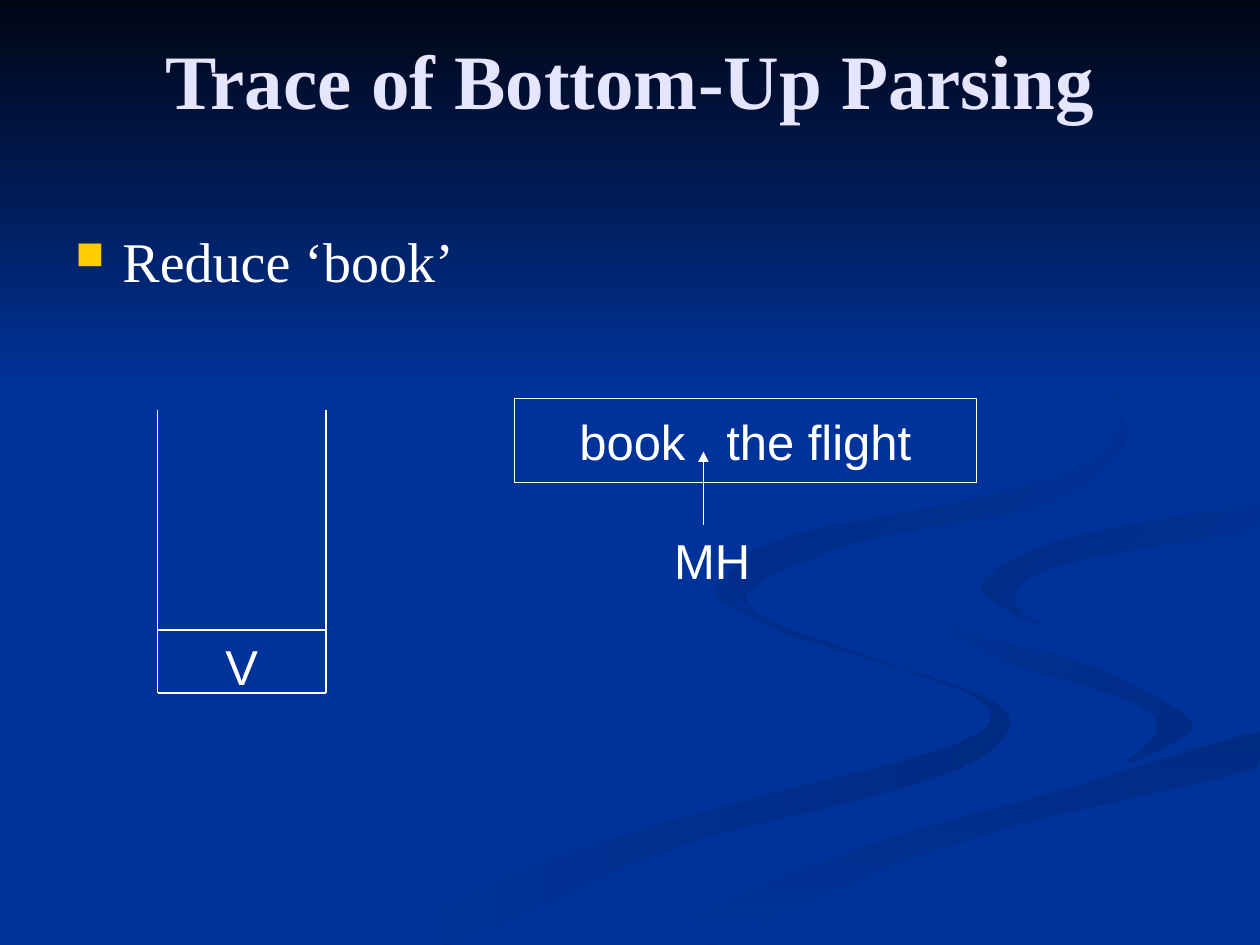
import dataclasses
import typing

import lxml.etree
import pptx
import pptx.dml.color
import pptx.enum.shapes
import pptx.enum.text
import pptx.oxml.ns
import pptx.util

Cm = pptx.util.Cm
Pt = pptx.util.Pt
Align = pptx.enum.text.PP_ALIGN
Kind = pptx.enum.shapes.MSO_SHAPE


@dataclasses.dataclass(frozen=True)
class Theme:
    """Hold the colours, fonts and sizes of the slide."""
    back: str = "003399"
    dusk: str = "002B83"
    night: str = "000514"
    ink: str = "FFFFFF"
    head: str = "E5E5FF"
    mark: str = "FFCC00"
    serif: str = "Times New Roman"
    sans: str = "Arial"
    large: int = 44
    body: int = 32
    small: int = 28
    line: float = 0.75


class Box(typing.NamedTuple):
    """Give a region in centimetres."""
    x: float
    y: float
    w: float
    h: float


THEME = Theme()
FULL = Box(0, 0, 25.4, 19.05)

RIBBONS = [
    (THEME.dusk, THEME.back, 180, [
        (781, 553), (682, 519), (594, 485), (575, 459), (572, 476), (631, 505),
        (741, 539), (786, 566), (749, 594), (579, 639), (417, 690), (300, 749),
        (361, 749), (532, 674), (740, 618), (800, 581)]),
    (THEME.dusk, THEME.back, 225, [
        (943, 570), (870, 530), (758, 498), (724, 464), (733, 488), (797, 524),
        (900, 557), (918, 581), (894, 605), (932, 589)]),
    (THEME.dusk, THEME.back, 90, [
        (503, 749), (571, 749), (695, 692), (821, 651), (998, 609), (998, 581),
        (867, 620), (696, 669), (569, 719)]),
    (THEME.back, THEME.dusk, 225, [
        (781, 460), (797, 483), (826, 496), (805, 476), (843, 448), (998, 420),
        (998, 402), (849, 427)]),
    (THEME.back, THEME.dusk, 225, [
        (683, 430), (825, 402), (892, 355), (880, 307), (889, 335), (861, 370),
        (763, 398), (625, 426), (577, 462), (622, 500), (593, 470)]),
]


def tint(name):
    """Turn a hex code into a colour."""
    return pptx.dml.color.RGBColor.from_string(name)


def shade(item, start, stop, turn):
    """Fill a plain shape with a clockwise-turned blend."""
    item.shadow.inherit = False
    item.line.fill.background()
    item.fill.gradient()
    item.fill.gradient_angle = (360 - turn) % 360
    for part, name in zip(item.fill.gradient_stops, (start, stop)):
        part.color.rgb = tint(name)


def smooth(knots, steps=6):
    """Round a closed outline with a spline through its knots."""
    points = []
    for i, b in enumerate(knots):
        a, c, d = (knots[(i + k) % len(knots)] for k in (-1, 1, 2))
        for t in (n / steps for n in range(steps)):
            x, y = (
                q + t / 2 * (r - p + t * (2 * p - 5 * q + 4 * r - s
                                          + t * (3 * (q - r) + s - p)))
                for p, q, r, s in zip(a, b, c, d))
            points.append((min(x, 1000), min(y, 750)))
    return points


def style(para, face, size, name=THEME.ink, bold=False, align=Align.LEFT):
    """Set the type of a paragraph."""
    para.alignment = align
    font = para.font
    font.name, font.size, font.bold = face, Pt(size), bold
    font.color.rgb = tint(name)


def label(shapes, box, text, align=Align.LEFT):
    """Add a small sans label."""
    frame = shapes.add_textbox(*map(Cm, box)).text_frame
    frame.word_wrap = True
    frame.text = text
    style(frame.paragraphs[0], THEME.sans, THEME.small, align=align)


def stroke(shapes, x1, y1, x2, y2, arrow=False):
    """Draw a thin straight line, with an arrowhead at its end if asked."""
    link = shapes.add_connector(
        pptx.enum.shapes.MSO_CONNECTOR.STRAIGHT, *map(Cm, (x1, y1, x2, y2)))
    link.line.width = Pt(THEME.line)
    link.line.color.rgb = tint(THEME.ink)
    props = link._element.spPr
    qn = pptx.oxml.ns.qn
    if arrow:
        lxml.etree.SubElement(props.find(qn("a:ln")), qn("a:tailEnd"), type="triangle")
    lxml.etree.SubElement(props, qn("a:effectLst"))


def scene(slide, box):
    """Paint the ribbons and the dark upper blend."""
    fill = slide.background.fill
    fill.solid()
    fill.fore_color.rgb = tint(THEME.back)
    for start, stop, turn, knots in RIBBONS:
        first, *rest = smooth(knots)
        pen = slide.shapes.build_freeform(*first, scale=Cm(box.w) / 1000)
        pen.add_line_segments(rest, close=True)
        shade(pen.convert_to_shape(Cm(box.x), Cm(box.y)), start, stop, turn)
    sky = slide.shapes.add_shape(
        Kind.RECTANGLE, Cm(box.x), Cm(box.y), Cm(box.w), Cm(7.82))
    shade(sky, THEME.night, THEME.back, 90)


def title(slide, box, text):
    """Place the title above the scene."""
    item = slide.shapes.title
    item.left, item.top, item.width, item.height = map(Cm, box)
    frame = item.text_frame
    frame.text = text
    frame.vertical_anchor = pptx.enum.text.MSO_ANCHOR.MIDDLE
    style(frame.paragraphs[0], THEME.serif, THEME.large, THEME.head, True, Align.CENTER)
    slide.shapes._spTree.append(item._element)


def bullet(slide, box, text):
    """Write the bulleted step."""
    frame = slide.shapes.add_textbox(*map(Cm, box)).text_frame
    frame.word_wrap = True
    frame.text = text
    para = frame.paragraphs[0]
    props = para._p.get_or_add_pPr()
    props.set("marL", str(Cm(0.95)))
    props.set("indent", str(-Cm(0.95)))
    qn = pptx.oxml.ns.qn
    hue = lxml.etree.SubElement(props, qn("a:buClr"))
    lxml.etree.SubElement(hue, qn("a:srgbClr"), val=THEME.mark)
    lxml.etree.SubElement(props, qn("a:buSzPct"), val="70000")
    lxml.etree.SubElement(props, qn("a:buChar"), char="■")
    style(para, THEME.serif, THEME.body)


def stack(slide, box, text):
    """Draw the open stack with one cell at its foot."""
    right, base = box.x + box.w, box.y + box.h
    cell = base - 1.27
    for x in (box.x, right):
        stroke(slide.shapes, x, box.y, x, base)
    for y in (base, cell):
        stroke(slide.shapes, box.x, y, right, y)
    label(slide.shapes, Box(box.x + 0.2, cell, box.w - 0.4, 1.45), text, Align.CENTER)


def tape(slide, box, done, rest, head):
    """Draw the input with the reading head pointing into its gap."""
    item = slide.shapes.add_shape(Kind.RECTANGLE, *map(Cm, box))
    item.shadow.inherit = False
    item.fill.background()
    item.line.width = Pt(THEME.line)
    item.line.color.rgb = tint(THEME.ink)
    frame = item.text_frame
    frame.word_wrap = False
    frame.vertical_anchor = pptx.enum.text.MSO_ANCHOR.MIDDLE
    para = frame.paragraphs[0]
    for text in (done, " ", rest):
        para.add_run().text = text
    para.runs[1]._r.get_or_add_rPr().set("spc", "1560")
    style(para, THEME.sans, THEME.small, align=Align.CENTER)
    low, mid = box.y + 2.54, box.x + 3.81
    label(slide.shapes, Box(box.x + 2.97, low, 2.33, 1.45), head)
    stroke(slide.shapes, mid, low, mid, box.y + 1.06, True)


def main():
    """Build and save the slide."""
    deck = pptx.Presentation()
    deck.slide_width, deck.slide_height = Cm(FULL.w), Cm(FULL.h)
    slide = deck.slides.add_slide(deck.slide_layouts[5])
    scene(slide, FULL)
    title(slide, Box(1.9, 0, 21.6, 3.18), "Trace of Bottom-Up Parsing")
    bullet(slide, Box(1.27, 4.45, 22.86, 12.57), "Reduce ‘book’")
    stack(slide, Box(3.18, 8.26, 3.39, 5.71), "V")
    tape(slide, Box(10.37, 8.04, 9.31, 1.69), "book", "the flight", "MH")
    deck.save("out.pptx")


if __name__ == "__main__":
    main()
